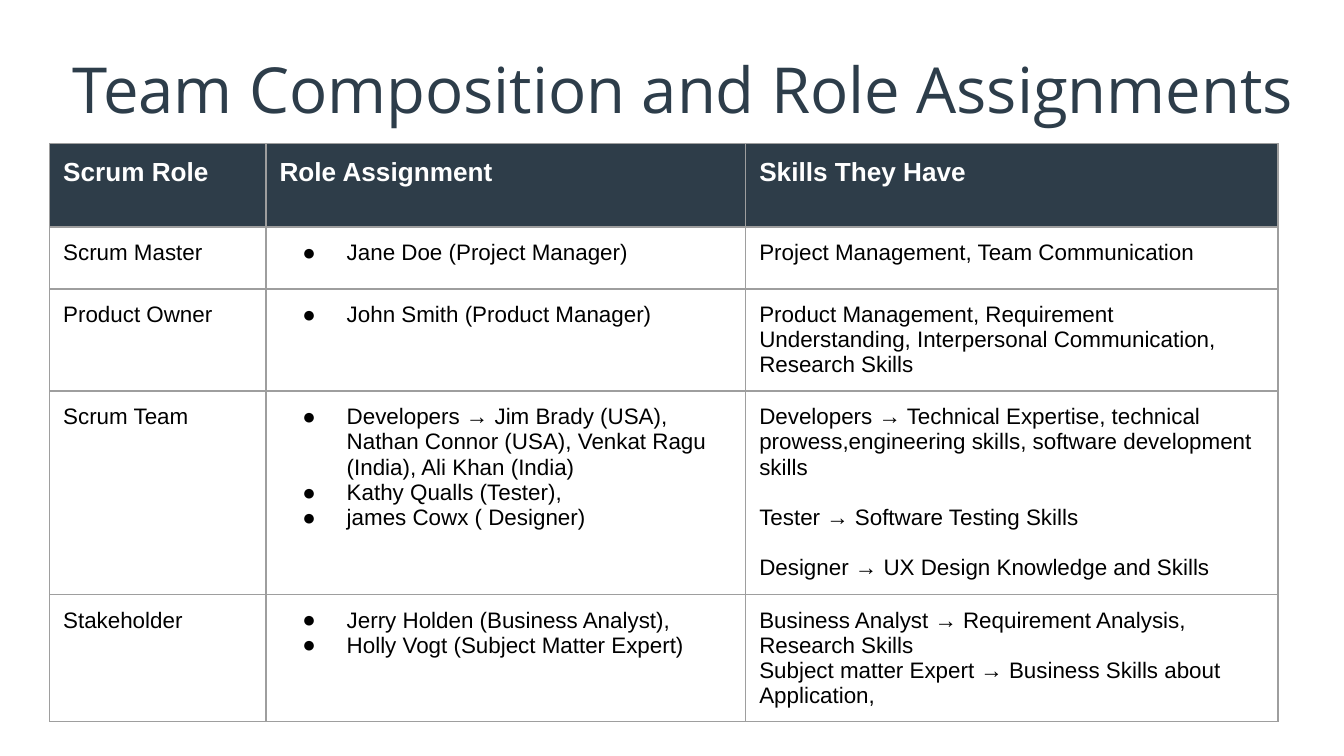
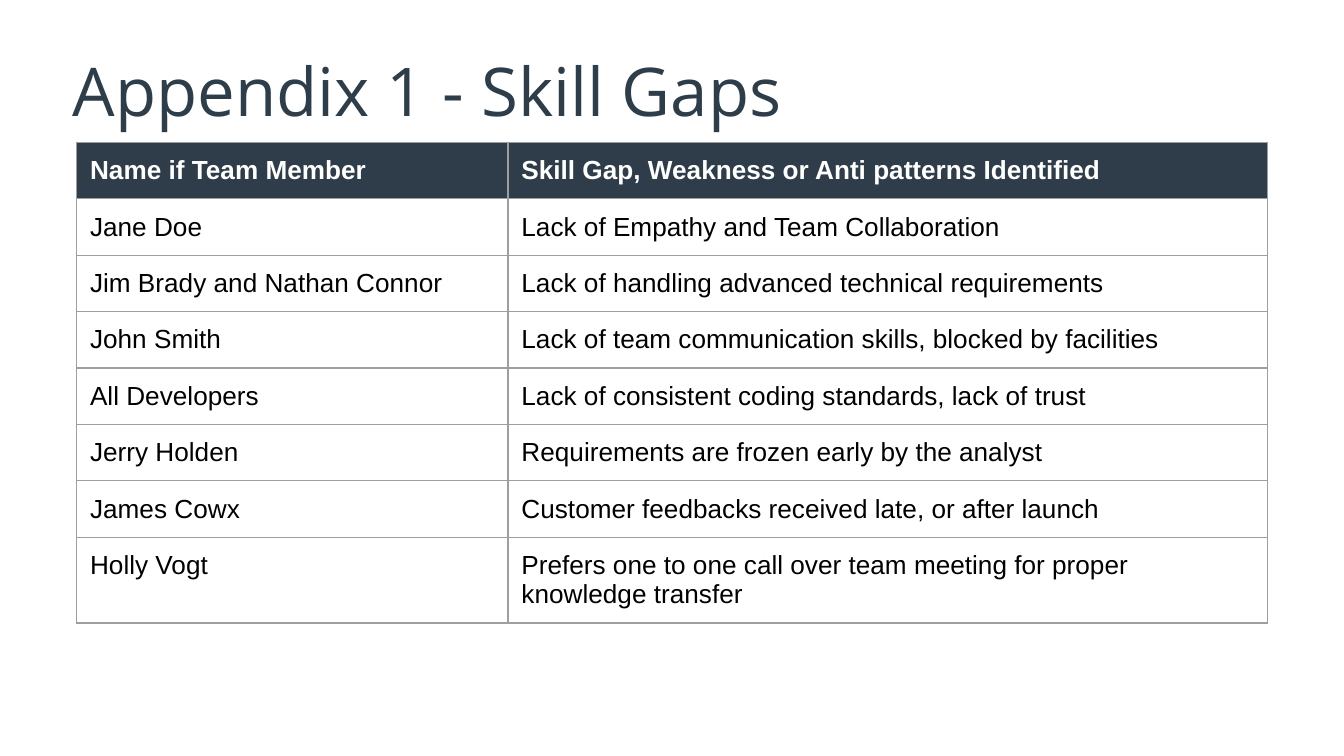
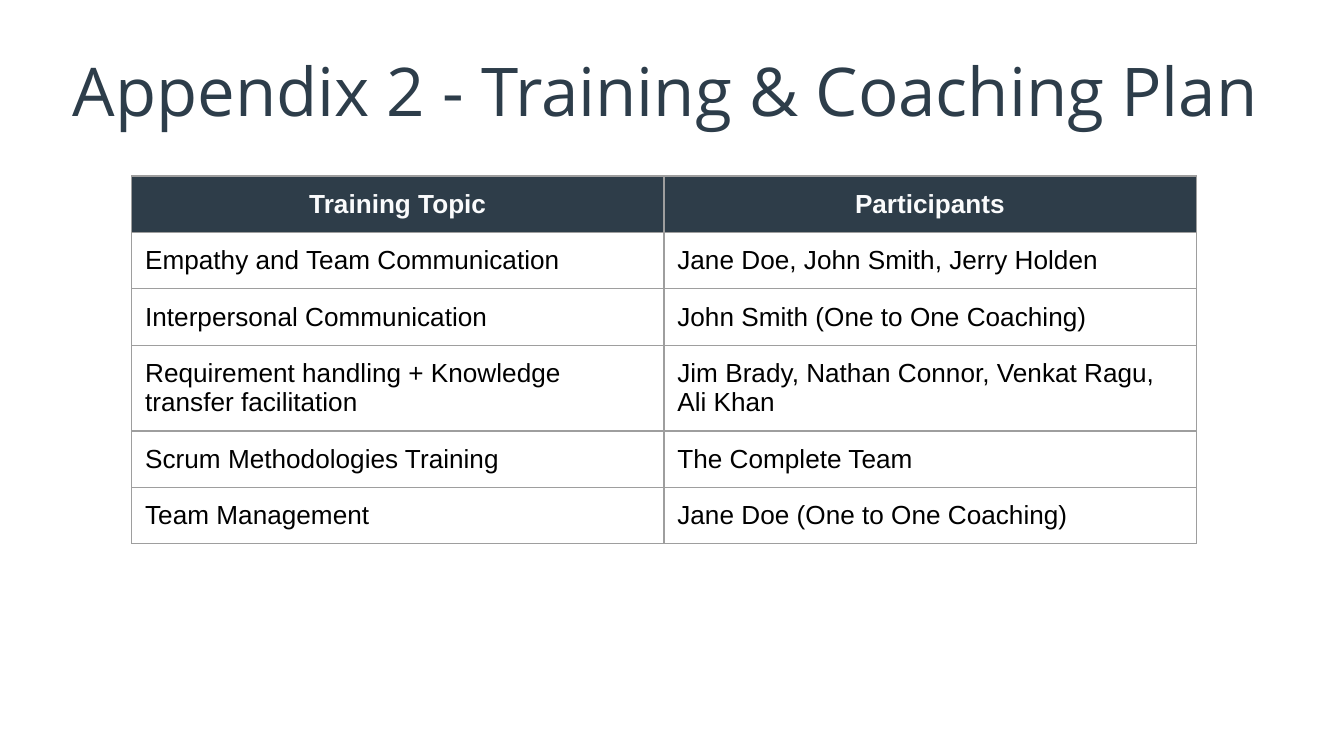
from lxml import etree
from pptx import Presentation
from pptx import util as u
from pptx.dml.color import RGBColor
from pptx.enum import text
from pptx.oxml.ns import qn

# Shared look
HEX = {"title": "2D3D4A", "head": "2E3D49", "line": "9E9E9E",
       "ink": "000000", "white": "FFFFFF", "pale": "FAFBFC"}
BODY = {"name": "Arial", "size": u.Pt(14), "bold": False}
HEAD = {**BODY, "bold": True}
SMALL = {**BODY, "size": u.Pt(12)}
GAP = u.Pt(13.6)
SIDES = ("left", "right", "top", "bottom")

# Slide contents
ROLES = [
    ["Scrum Role", "Role Assignment", "Skills They Have"],
    ["Scrum Master", "Jane Doe (Project Manager)",
     "Project Management, Team Communication"],
    ["Product Owner", "John Smith (Product Manager)",
     "Product Management, Requirement Understanding, "
     "Interpersonal Communication, Research Skills"],
    ["Scrum Team",
     "Developers → Jim Brady (USA), Nathan Connor (USA), "
     "Venkat Ragu (India), Ali Khan (India)\n"
     "Kathy Qualls (Tester),\njames Cowx ( Designer)",
     "Developers → Technical Expertise, technical prowess,"
     "engineering skills, software development skills\n"
     "Tester → Software Testing Skills\n"
     "Designer → UX Design Knowledge and Skills"],
    ["Stakeholder",
     "Jerry Holden (Business Analyst),\nHolly Vogt (Subject Matter Expert)",
     "Business Analyst → Requirement Analysis, Research Skills\n"
     "Subject matter Expert → Business Skills about Application,"],
]
GAPS = [
    ["Name if Team Member", "Skill Gap, Weakness or Anti patterns Identified"],
    ["Jane Doe", "Lack of Empathy and Team Collaboration"],
    ["Jim Brady and Nathan Connor",
     "Lack of handling advanced technical requirements"],
    ["John Smith", "Lack of team communication skills, blocked by facilities"],
    ["All Developers", "Lack of consistent coding standards, lack of trust"],
    ["Jerry Holden", "Requirements are frozen early by the analyst"],
    ["James Cowx", "Customer feedbacks received late, or after launch"],
    ["Holly Vogt", "Prefers one to one call over team meeting for proper "
                   "knowledge transfer"],
]
PLAN = [
    ["Training Topic", "Participants"],
    ["Empathy and Team Communication", "Jane Doe, John Smith, Jerry Holden"],
    ["Interpersonal Communication", "John Smith (One to One Coaching)"],
    ["Requirement handling + Knowledge transfer facilitation",
     "Jim Brady, Nathan Connor, Venkat Ragu, Ali Khan"],
    ["Scrum Methodologies Training", "The Complete Team"],
    ["Team Management", "Jane Doe (One to One Coaching)"],
]


def style(item, values):
    for key, value in values.items():
        setattr(item, key, value)


def pad(item, inches):
    style(item, {f"margin_{side}": u.Inches(inches) for side in SIDES})


def paint(font, values, color):
    style(font, values)
    font.color.rgb = RGBColor.from_string(HEX[color])


def add_color(parent, tag, color):
    node = etree.SubElement(parent, qn(tag))
    etree.SubElement(node, qn("a:srgbClr"), val=HEX[color])


def add_slide(deck, title, size=36, width=9):
    slide = deck.slides.add_slide(deck.slide_layouts[5])
    shape = slide.shapes.title
    style(shape, {"left": u.Inches(0.5), "top": u.Inches(0.33),
                  "width": u.Inches(width), "height": u.Inches(0.65)})
    frame = shape.text_frame
    frame.text = title
    pad(frame, 0.04)
    style(frame, {"word_wrap": True, "auto_size": text.MSO_AUTO_SIZE.NONE,
                  "vertical_anchor": text.MSO_ANCHOR.TOP})
    para = frame.paragraphs[0]
    para.alignment = text.PP_ALIGN.LEFT
    paint(para.runs[0].font, {"name": "Open Sans", "size": u.Pt(size)}, "title")
    return slide


def add_edges(cell):
    props = cell._tc.get_or_add_tcPr()
    for side in "LRTB":
        line = etree.SubElement(props, qn(f"a:ln{side}"), w=str(u.Pt(0.75)))
        add_color(line, "a:solidFill", "line")


def add_bullet(para):
    props = para._p.get_or_add_pPr()
    props.set("marL", str(u.Inches(0.5)))
    props.set("indent", str(u.Inches(-0.33)))
    add_color(props, "a:buClr", "ink")
    etree.SubElement(props, qn("a:buSzPts"), val="1200")
    etree.SubElement(props, qn("a:buFont"), typeface="Arial")
    etree.SubElement(props, qn("a:buChar"), char="●")


def fill_cell(cell, words, font, color, align):
    pad(cell, 0.1)
    add_edges(cell)
    cell.fill.background()
    cell.text_frame.text = words
    for para in cell.text_frame.paragraphs:
        para.alignment = align
        paint(para.runs[0].font, font, color)


def add_grid(slide, data, left, top, cols, rows, font=BODY, ink="white",
             align=text.PP_ALIGN.LEFT):
    frame = slide.shapes.add_table(
        len(rows), len(cols), u.Inches(left), u.Inches(top),
        u.Inches(sum(cols)), u.Inches(sum(rows)))
    grid = frame.table
    grid.horz_banding = False
    for col, width in zip(grid.columns, cols):
        col.width = u.Inches(width)
    for row, height, line in zip(grid.rows, rows, data):
        row.height = u.Inches(height)
        for cell, words in zip(row.cells, line):
            if line is data[0]:
                fill_cell(cell, words, HEAD, ink, align)
                cell.fill.solid()
                cell.fill.fore_color.rgb = RGBColor.from_string(HEX["head"])
            else:
                fill_cell(cell, words, font, "ink", text.PP_ALIGN.LEFT)
    return grid


def main():
    # Widescreen page, 16 by 9
    deck = Presentation()
    deck.slide_width, deck.slide_height = u.Inches(10), u.Inches(10 * 9 / 16)

    # Team roles, with bulleted names and spaced skills
    slide = add_slide(deck, "Team Composition and Role Assignments", 34, 9.36)
    grid = add_grid(slide, ROLES, 0.37, 1.07, [1.61, 3.57, 3.96],
                    [0.62, 0.46, 0.49, 0.93, 0.62], SMALL)
    for row in range(1, len(ROLES)):
        for para in grid.cell(row, 1).text_frame.paragraphs:
            add_bullet(para)
    for para in grid.cell(3, 2).text_frame.paragraphs[1:]:
        para.space_before = GAP

    # Skill gaps
    slide = add_slide(deck, "Appendix 1 - Skill Gaps")
    add_grid(slide, GAPS, 0.57, 1.06, [3.21, 5.65], [0.42] * len(GAPS))

    # Training plan
    slide = add_slide(deck, "Appendix 2 - Training & Coaching Plan")
    add_grid(slide, PLAN, 0.98, 1.31, [3.96] * 2, [0.42] * len(PLAN),
             ink="pale", align=text.PP_ALIGN.CENTER)

    deck.save("out.pptx")


if __name__ == "__main__":
    main()
